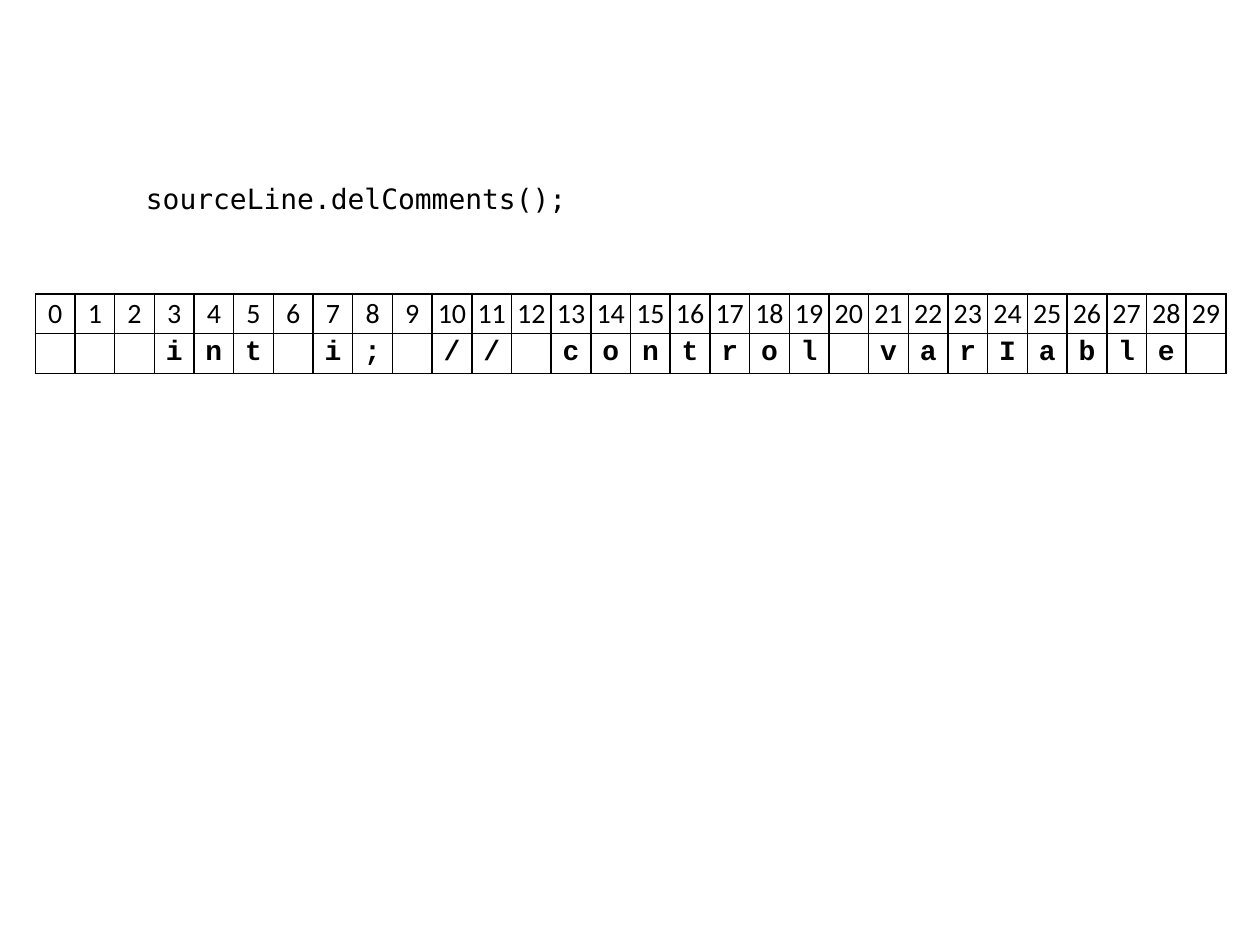
from pptx import Presentation
from pptx.dml.color import RGBColor
from pptx.enum.text import MSO_ANCHOR, PP_ALIGN
from pptx.oxml import parse_xml
from pptx.oxml.ns import nsdecls
from pptx.util import Inches, Pt

BLACK = RGBColor(0x00, 0x00, 0x00)
TEXT_SIZE = Pt(16)
BORDER_WIDTH = Pt(1)
SLIDE_WIDTH, SLIDE_HEIGHT = Inches(10), Inches(7.5)

SOURCE_LINE = "   int i;  // control varIable ".replace(";  /", "; /")
COLUMNS = 30
CELL = int(SLIDE_WIDTH * 0.0315)


def style_text(paragraph, font_name, bold=False):
    for run in paragraph.runs:
        run.font.name = font_name
        run.font.size = TEXT_SIZE
        run.font.bold = bold
        run.font.color.rgb = BLACK


def add_statement(slide, text, left, top, width, height):
    statement = slide.shapes.add_textbox(left, top, width, height)
    frame = statement.text_frame
    frame.word_wrap = True
    frame.text = text
    style_text(frame.paragraphs[0], "DejaVu Sans Mono")


def add_borders(cell):
    properties = cell._tc.get_or_add_tcPr()
    for position, side in enumerate(("lnL", "lnR", "lnT", "lnB")):
        properties.insert(position, parse_xml(
            f'<a:{side} {nsdecls("a")} w="{BORDER_WIDTH}"><a:solidFill>'
            f'<a:srgbClr val="{BLACK}"/></a:solidFill></a:{side}>'))


def fill_cell(cell, text, font_name, bold):
    cell.margin_left = cell.margin_right = 0
    cell.margin_top = cell.margin_bottom = 0
    cell.vertical_anchor = MSO_ANCHOR.MIDDLE
    cell.fill.background()
    add_borders(cell)
    cell.text = text.strip()
    paragraph = cell.text_frame.paragraphs[0]
    paragraph.alignment = PP_ALIGN.CENTER
    style_text(paragraph, font_name, bold)


def add_character_table(slide, characters, left, top):
    rows = (
        ([str(index) for index in range(COLUMNS)], "Calibri", False),
        (characters, "Courier New", True),
    )
    table = slide.shapes.add_table(
        len(rows), COLUMNS, left, top, CELL * COLUMNS, CELL * len(rows)).table
    table.first_row = table.horz_banding = False
    for column in table.columns:
        column.width = CELL
    for row, (texts, font_name, bold) in enumerate(rows):
        table.rows[row].height = CELL
        for column, text in enumerate(texts):
            fill_cell(table.cell(row, column), text, font_name, bold)


def main():
    presentation = Presentation()
    presentation.slide_width = SLIDE_WIDTH
    presentation.slide_height = SLIDE_HEIGHT
    slide = presentation.slides.add_slide(presentation.slide_layouts[6])

    # Method call
    add_statement(slide, "sourceLine.delComments();",
                  int(SLIDE_WIDTH * 0.106), int(SLIDE_HEIGHT * 0.186),
                  int(SLIDE_WIDTH * 0.362), int(SLIDE_HEIGHT * 0.043))

    # Source line, one character per index
    add_character_table(slide, SOURCE_LINE.ljust(COLUMNS)[:COLUMNS],
                        int(SLIDE_WIDTH * 0.028), int(SLIDE_HEIGHT * 0.311))

    presentation.save("out.pptx")


main()
